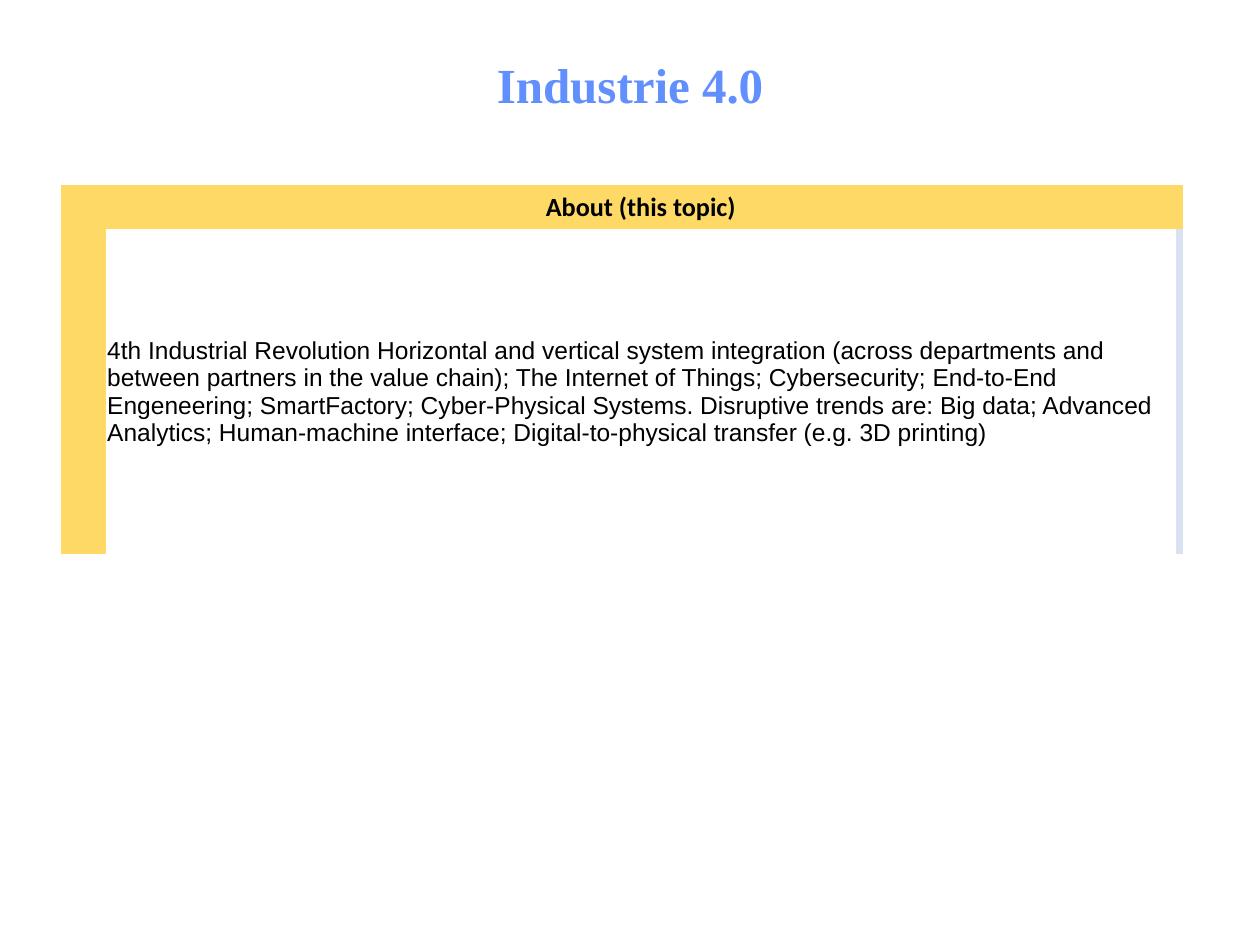
from pptx import Presentation
from pptx.dml.color import RGBColor
from pptx.enum.text import MSO_ANCHOR, PP_ALIGN
from pptx.util import Pt

GOLD, PALE_BLUE = "FFD966", "D9E1F2"
NO_STYLE = "{2D5ABB26-0587-4C30-8999-92F81FD0307C}"
COLUMN_WIDTHS = (25.6, 611.2, 4)
ROW_HEIGHTS = (25.2, 185.8)
FILLS = ((GOLD, GOLD, GOLD), (GOLD, None, PALE_BLUE))
TOPIC = (
    "4th Industrial Revolution Horizontal and vertical system integration "
    "(across departments and between partners in the value chain); "
    "The Internet of Things; Cybersecurity; End-to-End Engeneering; "
    "SmartFactory; Cyber-Physical Systems. Disruptive trends are: Big data; "
    "Advanced Analytics; Human-machine interface; "
    "Digital-to-physical transfer (e.g. 3D printing)"
)


def color(value):
    """Turn a hex string into a colour."""
    return RGBColor.from_string(value)


def write(frame, text, shade, align, **formats):
    """Write one formatted paragraph into a text frame."""
    paragraph = frame.paragraphs[0]
    paragraph.alignment = align
    span = paragraph.add_run()
    span.text = text
    for name, value in formats.items():
        setattr(span.font, name, value)
    span.font.color.rgb = color(shade)
    return paragraph


def add_title(page, text):
    """Add the centred slide title."""
    box = page.shapes.add_textbox(Pt(39.6), Pt(15), Pt(640.8), Pt(70))
    box.text_frame.word_wrap = True
    box.text_frame.vertical_anchor = MSO_ANCHOR.MIDDLE
    paragraph = write(box.text_frame, text, "618FFD", PP_ALIGN.CENTER,
                      name="Times New Roman", size=Pt(28), bold=True)
    paragraph.line_spacing = 0.9


def style_cell(cell, fill):
    """Set the fill and remove the margins of a cell."""
    for side in ("left", "right", "top", "bottom"):
        setattr(cell, f"margin_{side}", Pt(0))
    if fill:
        cell.fill.solid()
        cell.fill.fore_color.rgb = color(fill)
    else:
        cell.fill.background()


def fill_cell(cell, text, anchor, align, **formats):
    """Write text into a cell with narrow side margins."""
    margins = {"left": 0.7, "right": 0.7, "top": 3.4, "bottom": 3.4}
    for side, value in margins.items():
        setattr(cell, f"margin_{side}", Pt(value))
    cell.vertical_anchor = anchor
    write(cell.text_frame, text, "000000", align, **formats)


def add_topic_table(page):
    """Add the framed table that describes the topic."""
    frame = page.shapes.add_table(
        len(ROW_HEIGHTS), len(COLUMN_WIDTHS), Pt(35), Pt(105.8),
        Pt(sum(COLUMN_WIDTHS)), Pt(sum(ROW_HEIGHTS)))
    table = frame.table
    table.first_row = table.horz_banding = False
    table._tbl.tblPr[0].text = NO_STYLE
    for column, width in zip(table.columns, COLUMN_WIDTHS):
        column.width = Pt(width)
    for row, height, fills in zip(table.rows, ROW_HEIGHTS, FILLS):
        row.height = Pt(height)
        for cell, fill in zip(row.cells, fills):
            style_cell(cell, fill)
    fill_cell(table.cell(0, 1), "About (this topic)", MSO_ANCHOR.BOTTOM,
              PP_ALIGN.CENTER, name="Calibri", size=Pt(15), bold=True)
    fill_cell(table.cell(1, 1), TOPIC, MSO_ANCHOR.MIDDLE,
              PP_ALIGN.LEFT, name="Arial", size=Pt(14), bold=False)


def main():
    """Build and save the slide."""
    deck = Presentation()
    deck.slide_width, deck.slide_height = Pt(720), Pt(540)
    page = deck.slides.add_slide(deck.slide_layouts[6])
    add_title(page, "Industrie 4.0")
    add_topic_table(page)
    deck.save("out.pptx")


if __name__ == "__main__":
    main()
